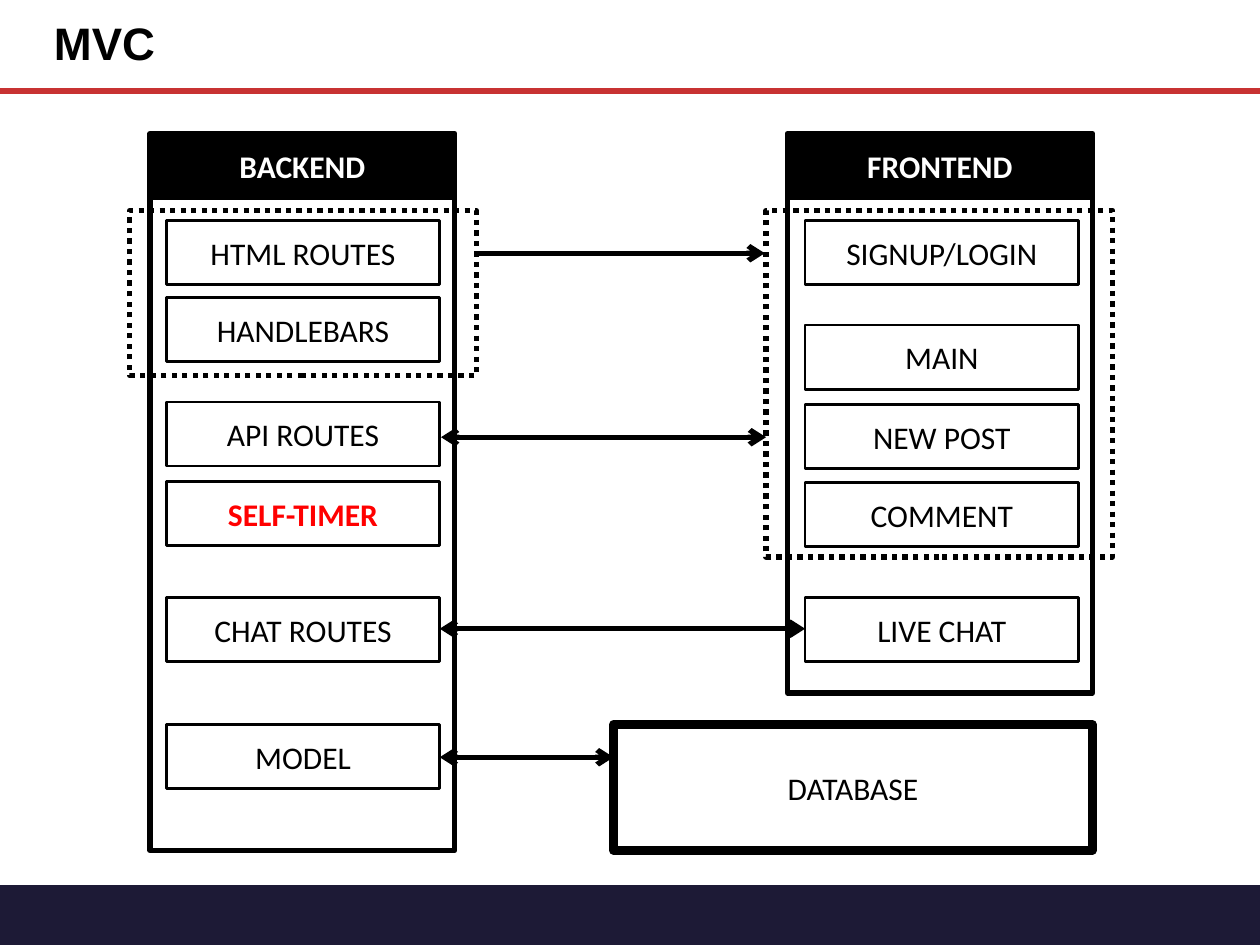
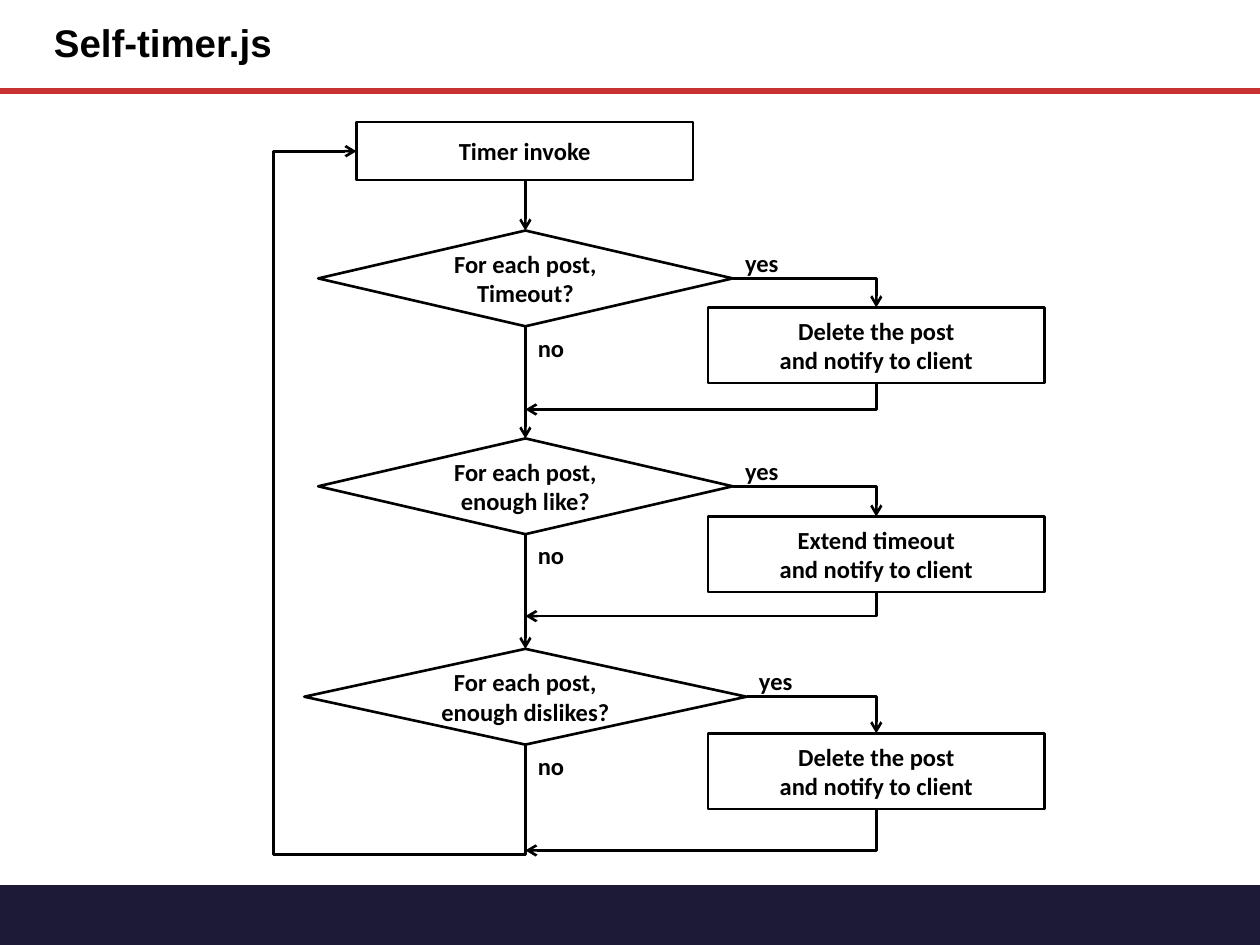
import pptx
import pptx.util
import pptx.dml.color
import pptx.enum.dml
import pptx.enum.shapes
import pptx.enum.text
import pptx.oxml.ns
import lxml.etree
from dataclasses import dataclass

SHAPE = pptx.enum.shapes.MSO_SHAPE
CONNECTOR = pptx.enum.shapes.MSO_CONNECTOR
ALIGN = pptx.enum.text.PP_ALIGN
ANCHOR = pptx.enum.text.MSO_ANCHOR
COLUMNS, ROWS = 100, 75


@dataclass(frozen=True)
class Theme:
    ink: str = "000000"
    paper: str = "FFFFFF"
    band: str = "1D1A36"
    rule: str = "C83232"
    accent: str = "FF0000"
    title_font: str = "Arial"
    body_font: str = "Calibri"
    body_size: float = 18
    flow_size: float = 14
    thin: float = 1.5
    thick: float = 3
    rule_weight: float = 3.25
    heavy: float = 5


class Deck:
    """Holds the theme and the current slide; places parts on a 100 x 75 grid."""

    def __init__(self, theme):
        self.theme = theme
        self.deck = pptx.Presentation()
        self.deck.slide_width = pptx.util.Inches(10)
        self.deck.slide_height = pptx.util.Inches(7.5)
        self.slide = None

    def grid(self, *lengths):
        """Turn alternating columns and rows into slide lengths."""
        steps = (self.deck.slide_width / COLUMNS, self.deck.slide_height / ROWS)
        return [round(length * steps[i % 2]) for i, length in enumerate(lengths)]

    def color(self, value):
        return pptx.dml.color.RGBColor.from_string(value)

    def new_slide(self, title, size):
        self.slide = self.deck.slides.add_slide(self.deck.slide_layouts[6])
        self.box(0, 70.2, COLUMNS, 4.8, fill=self.theme.band, weight=0,
                 kind=SHAPE.FLOWCHART_PROCESS)
        self.line((0, 7.2), (COLUMNS, 7.2), self.theme.rule_weight, self.theme.rule)
        heading = self.slide.shapes.add_textbox(*self.grid(3.3, 0, 83.3, 7.2))
        self.set_text(heading.text_frame, title, size, bold=True, align=ALIGN.LEFT,
                      font=self.theme.title_font, spacing=0.9)

    def set_text(self, frame, text, size, color=None, bold=False, align=ALIGN.CENTER,
                 anchor=ANCHOR.MIDDLE, font=None, wrap=True, spacing=None):
        frame.word_wrap = wrap
        frame.vertical_anchor = anchor
        frame.text = text
        for paragraph in frame.paragraphs:
            paragraph.alignment = align
            paragraph.line_spacing = spacing
            paragraph.font.name = font or self.theme.body_font
            paragraph.font.size = pptx.util.Pt(size)
            paragraph.font.bold = bold
            paragraph.font.color.rgb = self.color(color or self.theme.ink)

    def box(self, left, top, width, height, text="", fill=None, weight=None,
            kind=SHAPE.RECTANGLE, dash=None, size=None, color=None, bold=False):
        shape = self.slide.shapes.add_shape(kind, *self.grid(left, top, width, height))
        shape.shadow.inherit = False
        if fill:
            shape.fill.solid()
            shape.fill.fore_color.rgb = self.color(fill)
        else:
            shape.fill.background()
        if weight == 0:
            shape.line.fill.background()
        else:
            shape.line.color.rgb = self.color(self.theme.ink)
            shape.line.width = pptx.util.Pt(weight or self.theme.thin)
            if dash:
                shape.line.dash_style = dash
        if text:
            self.set_text(shape.text_frame, text, size or self.theme.body_size,
                          color, bold)

    def label(self, left, top, width, text):
        note = self.slide.shapes.add_textbox(*self.grid(left, top, width, 3.4))
        self.set_text(note.text_frame, text, self.theme.flow_size, bold=True,
                      align=ALIGN.LEFT, anchor=ANCHOR.TOP, wrap=False)

    def line(self, start, end, weight=None, color=None, arrows=(),
             preset=None, bends=()):
        """Draw a connector; arrows names its headEnd (start) and tailEnd (end)."""
        link = self.slide.shapes.add_connector(CONNECTOR.STRAIGHT,
                                               *self.grid(*start, *end))
        link.line.color.rgb = self.color(color or self.theme.ink)
        link.line.width = pptx.util.Pt(weight or self.theme.thin)
        qn = pptx.oxml.ns.qn
        properties = link.element.spPr
        for side in arrows:
            lxml.etree.SubElement(properties.find(qn("a:ln")), qn("a:" + side),
                                  type="arrow")
        lxml.etree.SubElement(properties, qn("a:effectLst"))
        if preset:
            geometry = properties.find(qn("a:prstGeom"))
            geometry.set("prst", preset)
            for number, share in enumerate(bends, 1):
                lxml.etree.SubElement(geometry.find(qn("a:avLst")), qn("a:gd"),
                                      name=f"adj{number}",
                                      fmla=f"val {round(share * 100000)}")


def build_mvc(deck):
    theme = deck.theme
    deck.new_slide("MVC", 26)
    header_height, item_width, item_height = 5.1, 21.7, 5.1
    both_ends = ("headEnd", "tailEnd")

    # The two sides: frame, header and their parts
    sides = [
        ("BACKEND", 11.9, 15.1, 52.4, 13.2,
         [("HTML ROUTES", 17.5), ("HANDLEBARS", 23.6), ("API ROUTES", 31.9),
          ("SELF-TIMER", 38.2), ("CHAT ROUTES", 47.4), ("MODEL", 57.5)]),
        ("FRONTEND", 62.5, 15, 40, 63.9,
         [("SIGNUP/LOGIN", 17.5), ("MAIN", 25.8), ("NEW POST", 32.1),
          ("COMMENT", 38.3), ("LIVE CHAT", 47.4)]),
    ]
    for side, left, top, height, item_left, items in sides:
        deck.box(left, top, 24.2, height, fill=theme.paper, weight=theme.thick)
        deck.box(left, 10.6, 24.2, header_height, side, fill=theme.ink,
                 weight=theme.thick, color=theme.paper, bold=True)
        for item, row in items:
            highlighted = item == "SELF-TIMER"
            deck.box(item_left, row, item_width, item_height, item, fill=theme.paper,
                     color=theme.accent if highlighted else theme.ink,
                     bold=highlighted)

    # Database
    deck.box(48.7, 57.5, 38, 10, "DATABASE", fill=theme.paper, weight=theme.heavy)

    # Traffic between the parts
    for start, end, row, arrows in [(34.9, 48.7, 60.1, both_ends),
                                    (34.9, 63.9, 49.9, both_ends),
                                    (35, 60.8, 34.7, both_ends),
                                    (37.8, 60.7, 20.1, ("tailEnd",))]:
        deck.line((start, row), (end, row), theme.thick, arrows=arrows)

    # Dotted groups
    for left, height in [(60.8, 27.5), (10.3, 13.1)]:
        deck.box(left, 16.7, 27.5, height, weight=theme.thick,
                 dash=pptx.enum.dml.MSO_LINE.ROUND_DOT)


def build_self_timer(deck):
    deck.new_slide("Self-timer.js", 22)
    size = deck.theme.flow_size
    axis, decision_height = 41.7, 7.6
    action_left, action_width, action_height = 56.2, 26.7, 6
    action_axis = action_left + action_width / 2
    start_left, start_top, start_width, start_height = 28.3, 9.7, 26.7, 4.6

    # Start
    deck.box(start_left, start_top, start_width, start_height, "Timer invoke",
             size=size, bold=True)

    # Checks: question, top, width, action, action top, row where the paths meet
    checks = [
        ("Timeout?", 18.3, 32.9, "Delete the post", 24.4, 32.5),
        ("enough like?", 34.8, 32.9, "Extend timeout", 41, 48.9),
        ("enough dislikes?", 51.5, 35.1, "Delete the post", 58.2, 67.5),
    ]
    previous_bottom = start_top + start_height
    for question, top, width, action, action_top, merge in checks:
        middle, right = top + decision_height / 2, axis + width / 2
        deck.line((axis, previous_bottom), (axis, top), arrows=("tailEnd",))
        deck.box(axis - width / 2, top, width, decision_height,
                 f"For each post,\n{question}", kind=SHAPE.FLOWCHART_DECISION,
                 size=size, bold=True)
        deck.box(action_left, action_top, action_width, action_height,
                 f"{action}\nand notify to client", size=size, bold=True)
        deck.line((right, middle), (action_axis, action_top),
                  arrows=("tailEnd",), preset="bentConnector2")
        deck.line((axis, merge), (action_axis, action_top + action_height),
                  arrows=("headEnd",), preset="bentConnector2")
        previous_bottom = top + decision_height
        deck.label(right, middle - 2.9, 4.7, "yes")
        deck.label(axis, previous_bottom, 4.1, "no")

    # Loop back to the start, as shares of the connector's own extent
    start_middle = start_top + start_height / 2
    loop_left, loop_bottom = 21.7, 67.8
    bends = ((loop_left - start_left) / (axis - start_left),
             (loop_bottom - start_middle) / (previous_bottom - start_middle))
    deck.line((start_left, start_middle), (axis, previous_bottom),
              arrows=("headEnd",), preset="bentConnector4", bends=bends)


def main():
    deck = Deck(Theme())
    build_mvc(deck)
    build_self_timer(deck)
    deck.deck.save("out.pptx")


if __name__ == "__main__":
    main()
